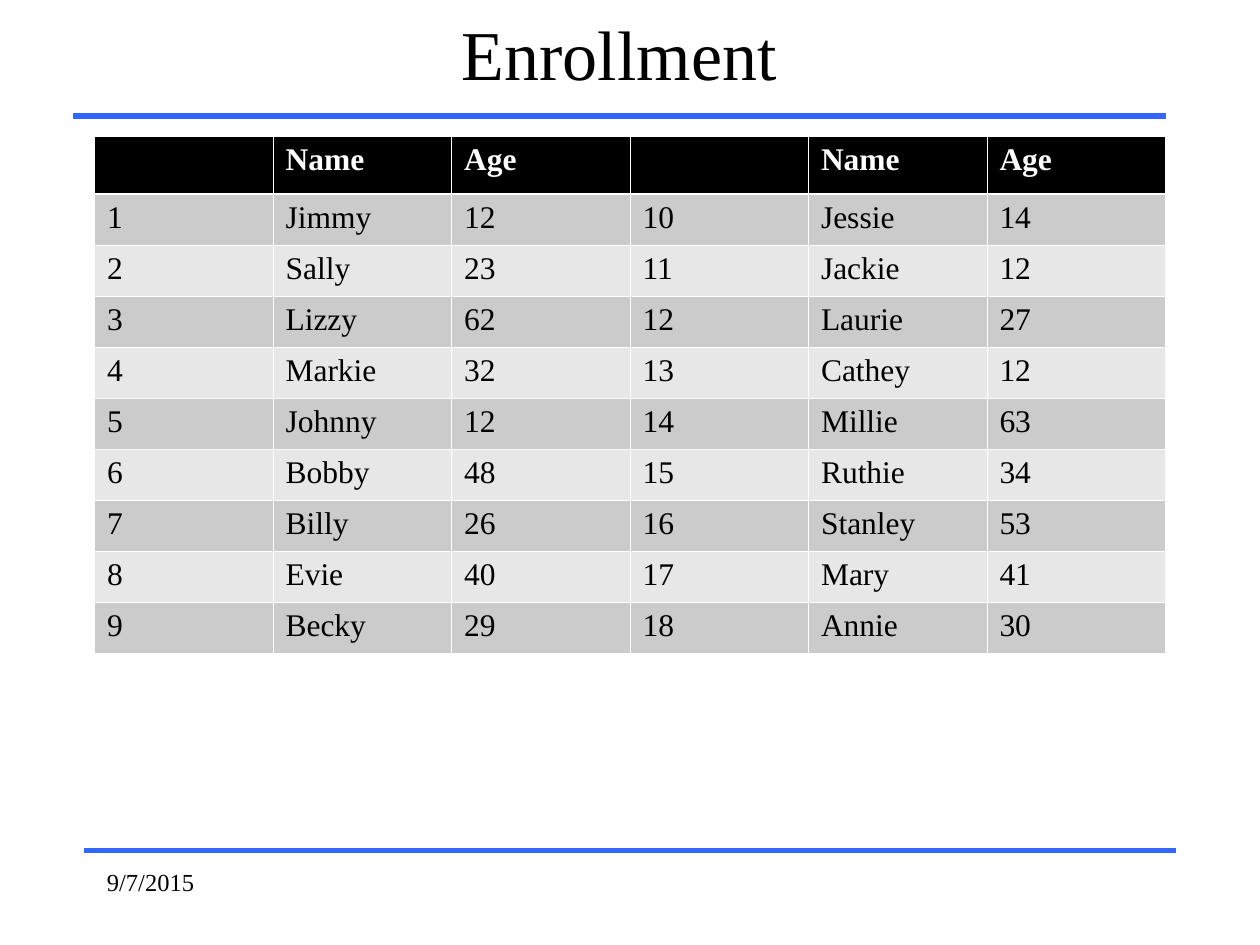
from lxml import etree
from pptx import Presentation
from pptx.dml.color import RGBColor
from pptx.enum.shapes import MSO_CONNECTOR
from pptx.enum.text import MSO_ANCHOR, PP_ALIGN
from pptx.oxml.ns import qn
from pptx.util import Inches, Pt

STRAIGHT = MSO_CONNECTOR.STRAIGHT
MIDDLE, TOP = MSO_ANCHOR.MIDDLE, MSO_ANCHOR.TOP
CENTER, LEFT = PP_ALIGN.CENTER, PP_ALIGN.LEFT
TITLE_ONLY = 5
THIN, THICK = 0.45, 1.47
BANDS = ["CBCBCB", "E7E7E7"]
HEADER = ["", "Name", "Age"]
PEOPLE = [
    ("Jimmy", 12), ("Sally", 23), ("Lizzy", 62), ("Markie", 32), ("Johnny", 12),
    ("Bobby", 48), ("Billy", 26), ("Evie", 40), ("Becky", 29),
    ("Jessie", 14), ("Jackie", 12), ("Laurie", 27), ("Cathey", 12), ("Millie", 63),
    ("Ruthie", 34), ("Stanley", 53), ("Mary", 41), ("Annie", 30),
]


def write(frame, text, size, color="000000", bold=False, align=LEFT):
    para = frame.paragraphs[0]
    para.alignment = align
    span = para.add_run()
    span.text = text
    formats = {"name": "Times New Roman", "size": Pt(size), "bold": bold}
    for name, value in formats.items():
        setattr(span.font, name, value)
    span.font.color.rgb = RGBColor.from_string(color)


def add_border(cell, side, width):
    properties = cell._tc.get_or_add_tcPr()
    line = etree.SubElement(properties, qn(f"a:ln{side}"), w=str(Pt(width)))
    fill = etree.SubElement(line, qn("a:solidFill"))
    etree.SubElement(fill, qn("a:srgbClr"), val="FFFFFF")


deck = Presentation()
deck.slide_width, deck.slide_height = Inches(10), Inches(7.5)
page = deck.slides.add_slide(deck.slide_layouts[TITLE_ONLY])

# Rules above and below the content
for left, right, y in [(0.67, 9.33, 6.75), (0.58, 9.25, 0.92)]:
    rule = page.shapes.add_connector(
        STRAIGHT, Inches(left), Inches(y), Inches(right), Inches(y))
    rule.line.color.rgb = RGBColor.from_string("3366FF")
    rule.line.width = Pt(3)
    etree.SubElement(rule._element.spPr, qn("a:effectLst"))

# Title
title = page.shapes.title
title.left, title.top = Inches(0.58), Inches(0)
title.width, title.height = Inches(8.67), Inches(0.83)
title.text_frame.vertical_anchor = MIDDLE
write(title.text_frame, "Enrollment", 40, align=CENTER)

# Enrollment table: two lists side by side
half = len(PEOPLE) // 2
numbered = [(str(number), name, str(age))
            for number, (name, age) in enumerate(PEOPLE, 1)]
rows = [HEADER * 2]
rows += [first + second for first, second in zip(numbered[:half], numbered[half:])]
columns = len(rows[0])

table = page.shapes.add_table(
    len(rows), columns, Inches(0.75), Inches(1.08), Inches(8.5), Inches(4.11)).table
for column in table.columns:
    column.width = Inches(8.5 / columns)

for row_index, values in enumerate(rows):
    is_header = row_index == 0
    table.rows[row_index].height = Inches(0.46 if is_header else 0.405)
    fill = "000000" if is_header else BANDS[(row_index - 1) % 2]
    color = "FFFFFF" if is_header else "000000"
    borders = {"L": THIN, "R": THIN,
               "T": THICK if row_index == 1 else THIN,
               "B": THICK if is_header else THIN}
    for column_index, value in enumerate(values):
        cell = table.cell(row_index, column_index)
        for side, width in borders.items():
            add_border(cell, side, width)
        cell.fill.solid()
        cell.fill.fore_color.rgb = RGBColor.from_string(fill)
        cell.vertical_anchor = TOP
        if value:
            write(cell.text_frame, value, 18, color, is_header)

# Date
date_box = page.shapes.add_textbox(
    Inches(0.75), Inches(6.83), Inches(2.08), Inches(0.5))
date_box.text_frame.word_wrap = True
write(date_box.text_frame, "9/7/2015", 14)

deck.save("out.pptx")
